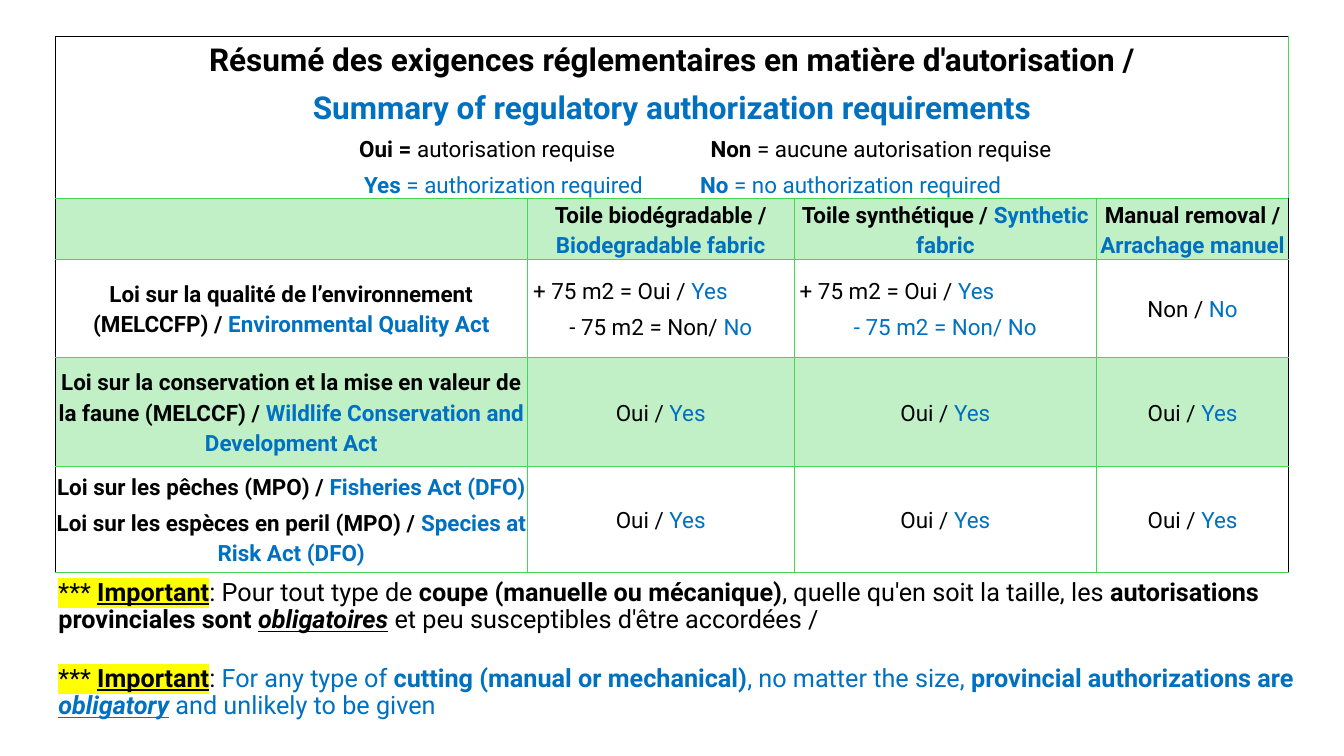
from lxml.etree import SubElement
from pptx import Presentation
from pptx.dml.color import RGBColor
from pptx.enum.text import MSO_ANCHOR, PP_ALIGN
from pptx.oxml.ns import qn
from pptx.util import Pt

BLACK = RGBColor(0x00, 0x00, 0x00)
BLUE = RGBColor(0x00, 0x70, 0xC0)
WHITE = RGBColor(0xFF, 0xFF, 0xFF)
MINT = RGBColor(0xC1, 0xF0, 0xC7)
GREEN = RGBColor(0x47, 0xD4, 0x59)
YELLOW = RGBColor(0xFF, 0xFF, 0x00)


def write(frame, paras, size, spacing, gap):
    """Fill a frame with lists of (text, style) runs.

    Style letters: e English blue, b bold, i italic, u underline, h highlight.
    """
    for n, runs in enumerate(paras):
        para = frame.paragraphs[0] if n == 0 else frame.add_paragraph()
        para.line_spacing = spacing
        if n:
            para.space_before = Pt(gap)
        for text, style in runs:
            run = para.add_run()
            run.text = text
            font = run.font
            font.name, font.size = "Roboto", Pt(size)
            font.bold, font.italic = "b" in style, "i" in style
            font.underline = "u" in style
            font.color.rgb = BLUE if "e" in style else BLACK
            if "h" in style:
                props = font._element
                mark = SubElement(props, qn("a:highlight"))
                SubElement(mark, qn("a:srgbClr"), val=str(YELLOW))
                props.find(qn("a:solidFill")).addnext(mark)


def border(cell, side, color, width):
    line = SubElement(cell._tc.get_or_add_tcPr(), qn("a:ln" + side), w=str(Pt(width)))
    fill = SubElement(line, qn("a:solidFill"))
    SubElement(fill, qn("a:srgbClr"), val=str(color))


prs = Presentation()
prs.slide_width, prs.slide_height = Pt(1920), Pt(1080)
slide = prs.slides.add_slide(prs.slide_layouts[6])

# Table contents: one list of paragraphs per cell
title = [
    [("Résumé des exigences réglementaires en matière d'autorisation /", "b")],
    [("Summary of regulatory authorization requirements", "be")],
]
legend = [
    [("\tOui = ", "b"), ("autorisation requise", ""),
     ("\tNon", "b"), (" = aucune autorisation requise", "")],
    [("\tYes ", "be"), ("= authorization required", "e"),
     ("\tNo ", "be"), ("= no authorization required", "e")],
]
yes = [[("Oui / ", ""), ("Yes", "e")]]
no = [[("Non / ", ""), ("No", "e")]]
large = [("+ 75 m2 = Oui / ", ""), ("Yes", "e")]
rows = [
    [[],
     [[("Toile biodégradable / ", "b"), ("Biodegradable fabric", "be")]],
     [[("Toile synthétique / ", "b"), ("Synthetic fabric", "be")]],
     [[("Manual removal / ", "b"), ("Arrachage manuel", "be")]]],
    [[[("Loi sur la qualité de l’environnement (MELCCFP) / ", "b"),
       ("Environmental Quality Act", "be")]],
     [large, [("- 75 m2 = Non/ ", ""), ("No", "e")]],
     [large, [("- 75 m2 = Non/ No", "e")]],
     no],
    [[[("Loi sur la conservation et la mise en valeur de la faune (MELCCF) / ", "b"),
       ("Wildlife Conservation and Development Act", "be")]],
     yes, yes, yes],
    [[[("Loi sur les pêches (MPO) / ", "b"), ("Fisheries Act (DFO)", "be")],
      [("Loi sur les espèces en peril (MPO) / ", "b"),
       ("Species at Risk Act (DFO)", "be")]],
     yes, yes, yes],
]

widths = [674.5, 381, 432, 274.5]
heights = [231.5, 87, 139, 156, 151.5]
table = slide.shapes.add_table(
    len(heights), len(widths), Pt(79), Pt(52), Pt(sum(widths)), Pt(sum(heights))
).table
table.first_row = table.horz_banding = False
for col, width in zip(table.columns, widths):
    col.width = Pt(width)
for row, height in zip(table.rows, heights):
    row.height = Pt(height)

# Cell format: black frame outside, green rules inside
for r in range(len(heights)):
    for c in range(len(widths)):
        cell = table.cell(r, c)
        cell.margin_left = cell.margin_right = 0
        cell.margin_top = cell.margin_bottom = 0
        cell.vertical_anchor = MSO_ANCHOR.MIDDLE
        border(cell, "L", GREEN if c else BLACK, 1)
        border(cell, "R", GREEN if c < len(widths) - 1 else BLACK, 1)
        border(cell, "T", GREEN if r else BLACK, 1.5 if r == 1 else 1)
        border(cell, "B", GREEN, 1 if r else 1.5)
        cell.fill.solid()
        cell.fill.fore_color.rgb = MINT if r in (1, 3) else WHITE

# Heading row with the legend set on tab stops
head = table.cell(0, 0)
head.merge(table.cell(0, len(widths) - 1))
frame = head.text_frame
write(frame, title + legend, 32, 1.15, 8)
for para in frame.paragraphs[:2]:
    para.alignment = PP_ALIGN.CENTER
    for run in para.runs:
        run.font.size = Pt(45)
for para, stops in zip(frame.paragraphs[2:], [(434, 936), (441, 921)]):
    para.alignment = PP_ALIGN.LEFT
    tabs = SubElement(para._p.get_or_add_pPr(), qn("a:tabLst"))
    for stop in stops:
        SubElement(tabs, qn("a:tab"), pos=str(Pt(stop)), algn="l")

for r, cells in enumerate(rows, 1):
    for c, paras in enumerate(cells):
        frame = table.cell(r, c).text_frame
        write(frame, paras, 32, 1.15, 8)
        for para in frame.paragraphs:
            para.alignment = PP_ALIGN.CENTER
        if paras and paras[0] is large:
            first = frame.paragraphs[0]
            first.alignment = PP_ALIGN.LEFT
            first._p.get_or_add_pPr().set("marL", str(Pt(8)))

# Notes under the table
notes = [
    [("*** ", "h"), ("Important", "buh"), (": Pour tout type de ", ""),
     ("coupe (manuelle ou mécanique)", "b"),
     (", quelle qu'en soit la taille, les ", ""),
     ("autorisations provinciales sont ", "b"), ("obligatoires", "biu"),
     (" et peu susceptibles d'être accordées /", "")],
    [("*** ", "h"), ("Important", "buh"), (": ", ""), ("For any type of ", "e"),
     ("cutting (manual or mechanical)", "be"), (", no matter the size, ", "e"),
     ("provincial authorizations are ", "be"), ("obligatory", "biue"),
     (" and unlikely to be given", "e")],
]
box = slide.shapes.add_textbox(Pt(79), Pt(796), Pt(1828), Pt(265))
frame = box.text_frame
frame.word_wrap = True
frame.vertical_anchor = MSO_ANCHOR.MIDDLE
frame.margin_left = frame.margin_right = Pt(4.5)
frame.margin_top = frame.margin_bottom = Pt(4.5)
write(frame, notes, 36, 0.9, 45)

prs.save("out.pptx")
